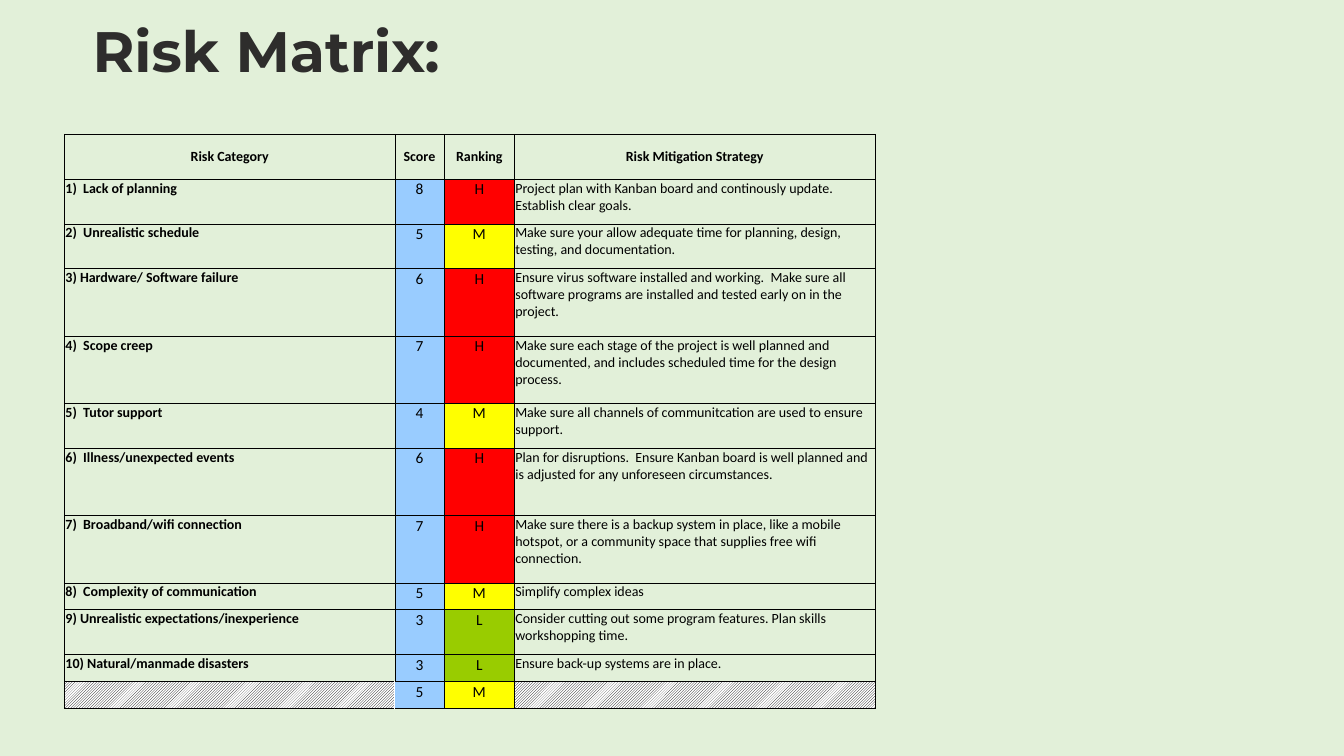
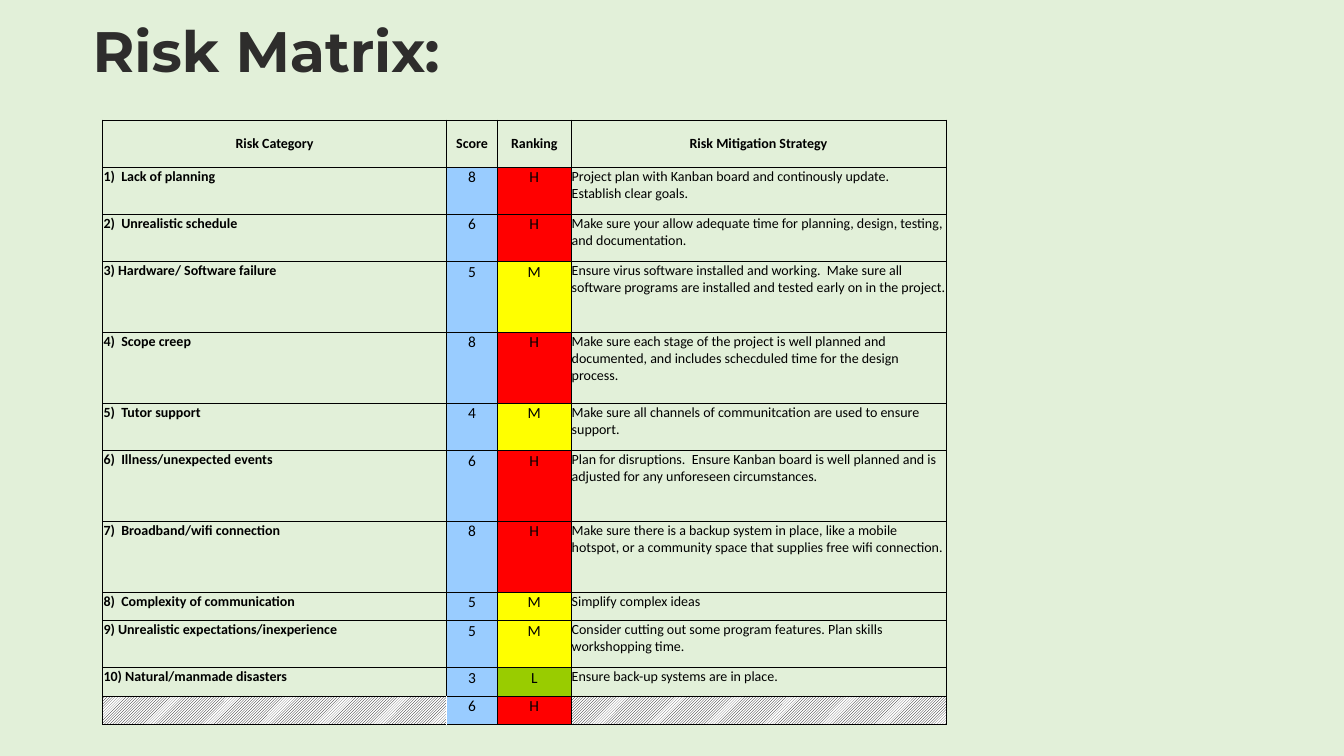
from lxml.etree import SubElement
from pptx import Presentation
from pptx.dml.color import RGBColor
from pptx.enum.dml import MSO_PATTERN
from pptx.enum.text import MSO_ANCHOR, MSO_AUTO_SIZE, PP_ALIGN
from pptx.oxml.ns import qn
from pptx.util import Cm, Pt

COLORS = {
    "background": "E2F0D9", "title": "2E2D2C", "text": "000000", "paper": "FFFFFF",
    "score": "99CCFF", "H": "FF0000", "M": "FFFF00", "L": "99CC00",
}
HEADERS = ["Risk Category", "Score", "Ranking", "Risk Mitigation Strategy"]
RISKS = [
    ("1)  Lack of planning",
     "Project plan with Kanban board and continously update.  Establish clear goals."),
    ("2)  Unrealistic schedule",
     "Make sure your allow adequate time for planning, design, testing, and documentation."),
    ("3) Hardware/ Software failure",
     "Ensure virus software installed and working.  Make sure all software programs "
     "are installed and tested early on in the project."),
    ("4)  Scope creep",
     "Make sure each stage of the project is well planned and documented, "
     "and includes scheduled time for the design process."),
    ("5)  Tutor support",
     "Make sure all channels of communitcation are used to ensure support."),
    ("6)  Illness/unexpected events",
     "Plan for disruptions.  Ensure Kanban board is well planned and is adjusted "
     "for any unforeseen circumstances."),
    ("7)  Broadband/wifi connection",
     "Make sure there is a backup system in place, like a mobile hotspot, "
     "or a community space that supplies free wifi connection."),
    ("8)  Complexity of communication", "Simplify complex ideas"),
    ("9) Unrealistic expectations/inexperience",
     "Consider cutting out some program features. Plan skills workshopping time."),
    ("10) Natural/manmade disasters", "Ensure back-up systems are in place."),
]
REVISED_RISKS = [(name, plan.replace("scheduled", "schecduled")) for name, plan in RISKS]
COL_WEIGHTS = [328, 49, 70, 358]
ROW_WEIGHTS = [20, 20, 20, 30, 30, 20, 30, 30, 12, 20, 12, 12]
TITLE_BOX = (2.08, 0.25, 29.21, 1.97)
SLIDES = [
    ((1.63, 3.38, 20.42, 14.48), RISKS, [8, 5, 6, 7, 4, 6, 7, 5, 3, 3]),
    ((2.59, 3.02, 21.25, 15.24), REVISED_RISKS, [8, 6, 5, 8, 4, 6, 8, 5, 5, 3]),
]


def rgb(name):
    """Return the named colour."""
    return RGBColor.from_string(COLORS[name])


def style_run(r, size, font, color, bold):
    """Set the font of one run."""
    r.font.size, r.font.name, r.font.bold = Pt(size), font, bold
    r.font.color.rgb = rgb(color)


def rank(score):
    """Return the ranking letter for a score."""
    return "H" if score >= 6 else "M" if score >= 4 else "L"


def add_borders(cell, sides):
    """Draw thin lines on the given sides of a cell."""
    tc_pr = cell._tc.get_or_add_tcPr()
    for side in sides:
        ln = SubElement(tc_pr, qn(f"a:ln{side}"), w=str(Pt(0.5)))
        fill = SubElement(ln, qn("a:solidFill"))
        SubElement(fill, qn("a:srgbClr"), val=COLORS["text"])


def fill_cell(cell, col, is_total, value):
    """Fill a cell according to its column and row."""
    if is_total and col in (0, 3):
        cell.fill.patterned()
        cell.fill.pattern = MSO_PATTERN.LIGHT_UPWARD_DIAGONAL
        cell.fill.fore_color.rgb = rgb("text")
        cell.fill.back_color.rgb = rgb("paper")
    elif value in COLORS or value.isdigit():
        cell.fill.solid()
        cell.fill.fore_color.rgb = rgb("score" if col == 1 else value)
    else:
        cell.fill.background()


def write_cell(cell, row, col, value):
    """Write and format the text of a cell."""
    cell.margin_left = cell.margin_right = cell.margin_top = Cm(0.02)
    cell.margin_bottom = 0
    cell.vertical_anchor = MSO_ANCHOR.MIDDLE if row == 0 else MSO_ANCHOR.TOP
    p = cell.text_frame.paragraphs[0]
    p.text = value
    if row == 0 or col in (1, 2):
        p.alignment = PP_ALIGN.CENTER
    for r in p.runs:
        size = 11 if row and col in (1, 2) else 10
        style_run(r, size, "Calibri", "text", row == 0 or col == 0)
    if not value:
        SubElement(p._p, qn("a:endParaRPr"), sz="1000")


def add_title(slide, box, text):
    """Place the slide title in the given box."""
    sp = slide.shapes.title
    sp.left, sp.top, sp.width, sp.height = map(Cm, box)
    tf = sp.text_frame
    tf.text = text
    tf.auto_size = MSO_AUTO_SIZE.NONE
    tf.vertical_anchor = MSO_ANCHOR.BOTTOM
    p = tf.paragraphs[0]
    p.alignment, p.line_spacing = PP_ALIGN.LEFT, 0.8
    style_run(p.runs[0], 40.7, "Montserrat", "title", True)


def add_risk_table(slide, box, risks, scores):
    """Add the risk table, ending with the average score, in the given box."""
    average = round(sum(scores) / len(scores))
    rows = [HEADERS]
    rows += [[name, str(s), rank(s), plan] for (name, plan), s in zip(risks, scores)]
    rows.append(["", str(average), rank(average), ""])
    left, top, width, height = box
    table = slide.shapes.add_table(len(rows), len(HEADERS), *map(Cm, box)).table
    table.first_row = table.horz_banding = False
    for column, weight in zip(table.columns, COL_WEIGHTS):
        column.width = Cm(width * weight / sum(COL_WEIGHTS))
    for table_row, weight in zip(table.rows, ROW_WEIGHTS):
        table_row.height = Cm(height * weight / sum(ROW_WEIGHTS))
    for i, row in enumerate(rows):
        is_total = i == len(rows) - 1
        for j, value in enumerate(row):
            cell = table.cell(i, j)
            write_cell(cell, i, j, value)
            add_borders(cell, {0: "LTB", 1: "RTB"}.get(j, "LRTB") if is_total else "LRTB")
            fill_cell(cell, j, is_total, value)


def main():
    """Build the risk matrix slides."""
    prs = Presentation()
    prs.slide_width, prs.slide_height = Cm(33.87), Cm(19.05)
    background = prs.slide_master.background.fill
    background.solid()
    background.fore_color.rgb = rgb("background")
    for box, risks, scores in SLIDES:
        slide = prs.slides.add_slide(prs.slide_layouts[5])
        add_title(slide, TITLE_BOX, "Risk Matrix:")
        add_risk_table(slide, box, risks, scores)
    prs.save("out.pptx")


if __name__ == "__main__":
    main()
